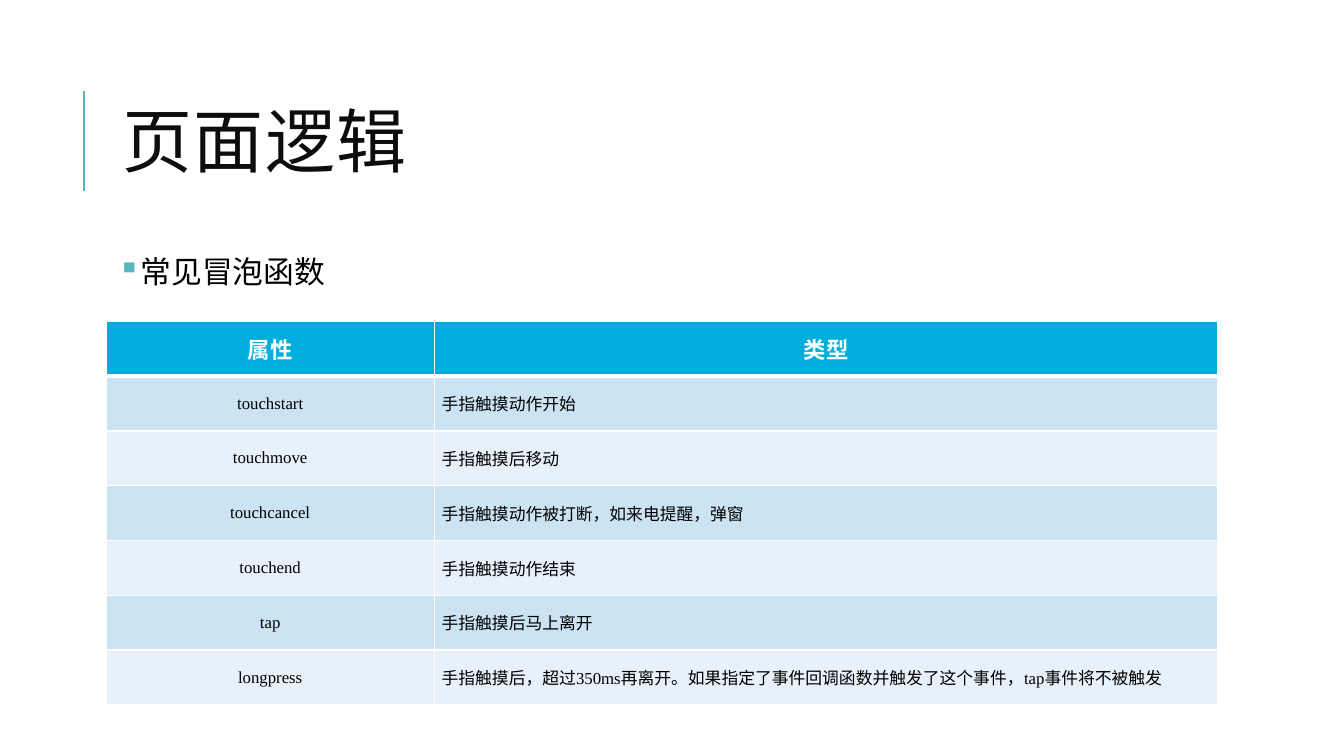
from lxml import etree
from pptx import Presentation
from pptx import util as u
from pptx.dml.color import RGBColor
from pptx.enum import shapes, text
from pptx.oxml import ns

TEAL, WHITE, BLACK = "58B6C0", "FFFFFF", "000000"
HEAD, BANDS = "00ADDC", ("CBE3F3", "E7F1F9")
ROWS = [
    ("属性", "类型"),
    ("touchstart", "手指触摸动作开始"),
    ("touchmove", "手指触摸后移动"),
    ("touchcancel", "手指触摸动作被打断，如来电提醒，弹窗"),
    ("touchend", "手指触摸动作结束"),
    ("tap", "手指触摸后马上离开"),
    ("longpress", "手指触摸后，超过350ms再离开。如果指定了事件回调函数并触发了这个事件，tap事件将不被触发"),
]


def color(code):
    return RGBColor.from_string(code)


def sub(node, tag, **attrs):
    return etree.SubElement(node, ns.qn(tag), **attrs)


def style(para, face, size, code, bold=False):
    for run in para.runs:
        font = run.font
        font.name, font.size, font.bold = face, u.Pt(size), bold
        font.color.rgb = color(code)


def add_text(slide, box, words):
    frame = slide.shapes.add_textbox(*map(u.Cm, box)).text_frame
    frame.word_wrap = True
    frame.text = words
    return frame, frame.paragraphs[0]


def add_title(slide, box, words):
    left, top, _, height = box
    # Accent rule beside the title
    x, mid = left - 0.73, top + height / 2 - 0.16
    rule = slide.shapes.add_connector(
        shapes.MSO_CONNECTOR.STRAIGHT,
        u.Cm(x), u.Cm(mid + 1.27), u.Cm(x), u.Cm(mid - 1.27))
    rule.line.color.rgb = color(TEAL)
    rule.line.width = u.Pt(1.5)
    sub(rule._element.spPr, "a:effectLst")
    # Title text
    frame, para = add_text(slide, box, words)
    frame.vertical_anchor = text.MSO_ANCHOR.MIDDLE
    para.line_spacing = 0.8
    style(para, "Calibri", 50, "0D0D0D")
    para.runs[0].font._element.set("spc", "100")


def add_point(slide, box, words):
    frame, para = add_text(slide, box, words)
    frame.margin_left = frame.margin_right = u.Cm(0.13)
    # Square bullet with a hanging indent
    props = para._p.get_or_add_pPr()
    indent = u.Cm(0.25)
    props.set("marL", str(indent))
    props.set("indent", str(-indent))
    sub(sub(props, "a:buClr"), "a:srgbClr", val=TEAL)
    sub(props, "a:buChar", char="▪")
    para.line_spacing = 0.9
    para.space_after = u.Pt(2)
    style(para, "Calibri", 22, BLACK)


def set_edges(cell, top, bottom):
    props = cell._tc.get_or_add_tcPr()
    widths = {"L": 1, "R": 1, "T": top, "B": bottom}
    for place, (side, width) in enumerate(widths.items()):
        edge = etree.Element(ns.qn("a:ln" + side), w=str(u.Pt(width)))
        sub(sub(edge, "a:solidFill"), "a:srgbClr", val=WHITE)
        props.insert(place, edge)


def add_grid(slide, box, rows, first):
    left, top, width, height = map(u.Cm, box)
    table = slide.shapes.add_table(len(rows), 2, left, top, width, height).table
    table.columns[0].width = u.Cm(first)
    table.columns[1].width = width - u.Cm(first)
    for r, row in enumerate(rows):
        for c, words in enumerate(row):
            cell = table.cell(r, c)
            cell.text = words
            cell.vertical_anchor = text.MSO_ANCHOR.MIDDLE
            cell.margin_left = cell.margin_right = u.Cm(0.18 if r else 0.2)
            cell.margin_top = cell.margin_bottom = 0
            cell.fill.solid()
            cell.fill.fore_color.rgb = color(BANDS[(r - 1) % 2] if r else HEAD)
            set_edges(cell, 3 if r == 1 else 1, 1 if r else 3)
            para = cell.text_frame.paragraphs[0]
            para.alignment = (text.PP_ALIGN.JUSTIFY if r and c
                              else text.PP_ALIGN.CENTER)
            style(para, "Times New Roman", 12 if r else 16,
                  BLACK if r else WHITE, not r)


def main():
    deck = Presentation()
    deck.slide_width, deck.slide_height = u.Cm(33.87), u.Cm(19.05)
    slide = deck.slides.add_slide(deck.slide_layouts[6])
    add_title(slide, (2.84, 1.63, 27, 4.17), "页面逻辑")
    add_point(slide, (2.84, 6.35, 13.82, 7.59), "常见冒泡函数")
    add_grid(slide, (2.67, 8.1, 28.02, 9.66), ROWS, 8.28)
    deck.save("out.pptx")


if __name__ == "__main__":
    main()
